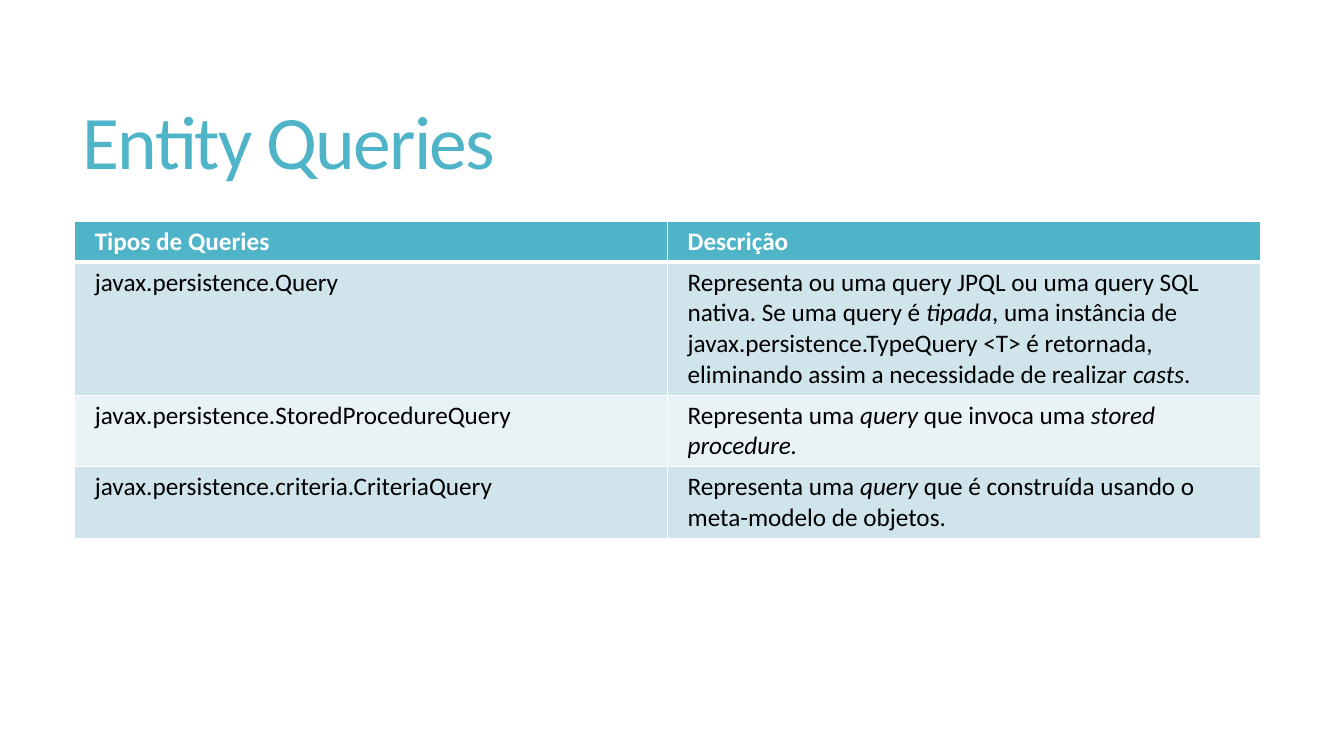
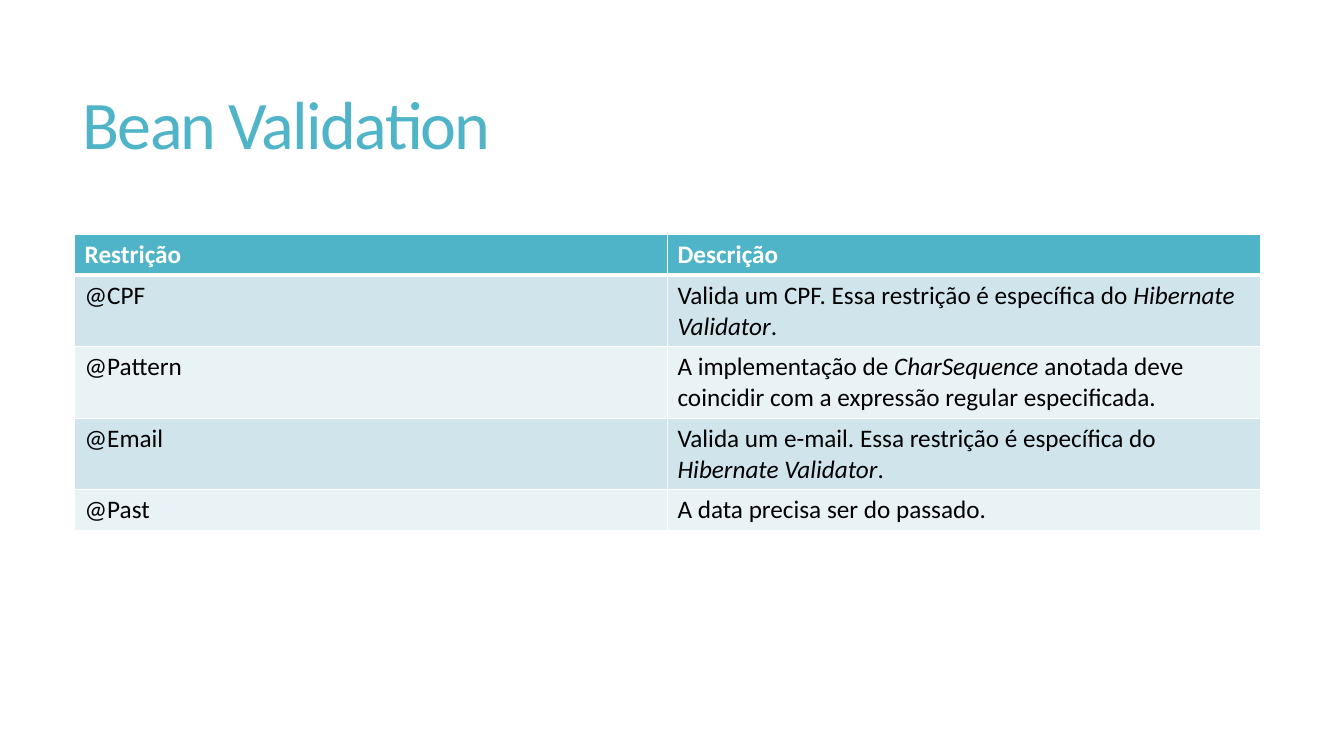
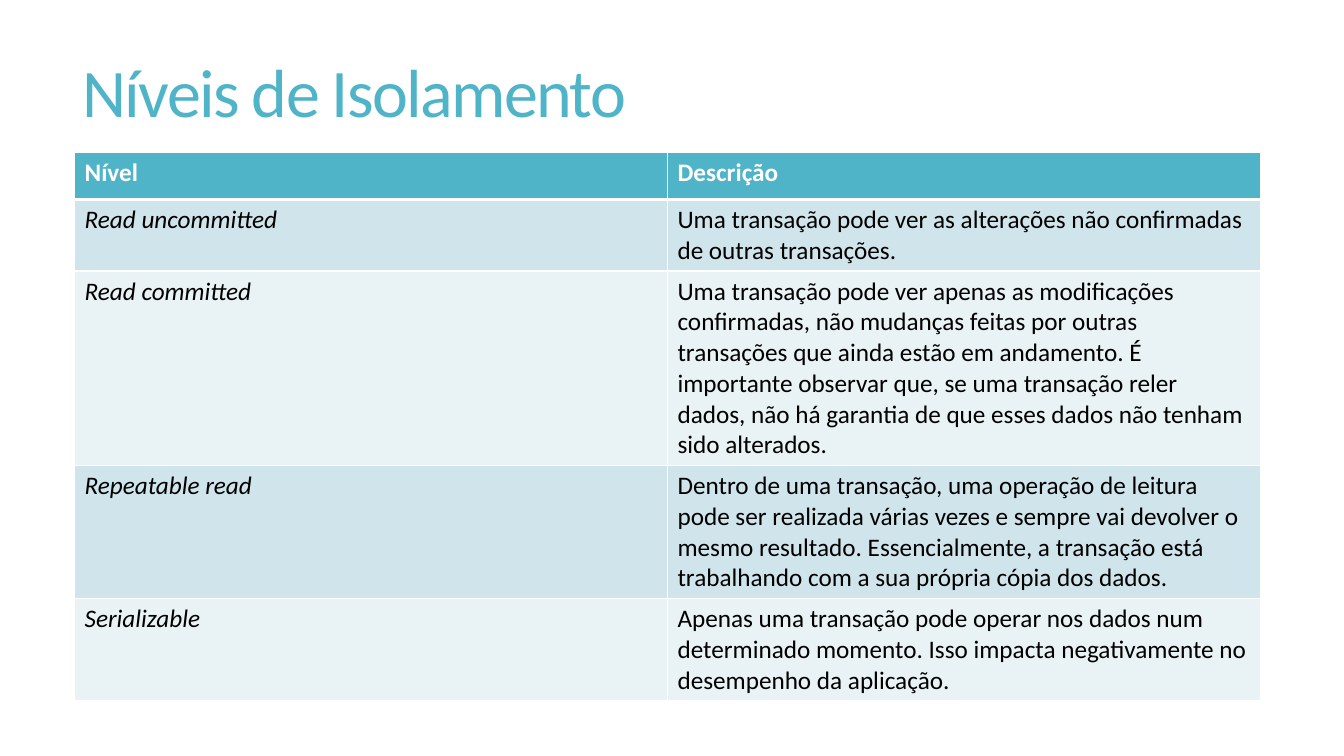
from dataclasses import dataclass

from lxml import etree
from pptx import Presentation
from pptx.dml.color import RGBColor
from pptx.enum import text
from pptx.oxml import ns
from pptx.util import Inches, Pt


@dataclass(frozen=True)
class Theme:
    font: str = "Calibri"
    accent: RGBColor = RGBColor(0x50, 0xB4, 0xC8)
    white: RGBColor = RGBColor(0xFF, 0xFF, 0xFF)
    body: RGBColor = RGBColor(0x00, 0x00, 0x00)
    bands: tuple = (RGBColor(0xD0, 0xE5, 0xEB), RGBColor(0xE9, 0xF2, 0xF5))
    title_spacing: float = -1.2
    title_leading: float = 0.85
    table_size: int = 18
    grid_width: int = 1
    header_rule_width: int = 3


THEME = Theme()
TITLE_LEFT, TITLE_WIDTH = 0.72, 11.78
TABLE_LEFT, TABLE_WIDTH = 0.74, 11.76

# Asterisks enclose italic text; heights follow the row order, header first.
SLIDES = [
    {
        "title": "Entity Queries",
        "title_box": (TITLE_LEFT, 0.55, TITLE_WIDTH, 1.81),
        "title_size": 54,
        "table_top": 2.2,
        "side_margin": 0.2,
        "heights": [0.4, 1.32, 0.71, 0.71],
        "rows": [
            ("Tipos de Queries", "Descrição"),
            ("javax.persistence.Query",
             "Representa ou uma query JPQL ou uma query SQL nativa. Se uma query é "
             "*tipada*, uma instância de javax.persistence.TypeQuery <T> é retornada, "
             "eliminando assim a necessidade de realizar *casts*."),
            ("javax.persistence.StoredProcedureQuery",
             "Representa uma *query* que invoca uma *stored procedure.*"),
            ("javax.persistence.criteria.CriteriaQuery",
             "Representa uma *query* que é construída usando o meta-modelo de objetos."),
        ],
    },
    {
        "title": "Bean Validation",
        "title_box": (TITLE_LEFT, 0.86, TITLE_WIDTH, 0.83),
        "title_size": 48.6,
        "table_top": 2.33,
        "side_margin": 0.1,
        "heights": [0.4, 0.71, 0.71, 0.71, 0.4],
        "rows": [
            ("Restrição", "Descrição"),
            ("@CPF",
             "Valida um CPF. Essa restrição é específica do *Hibernate Validator*."),
            ("@Pattern",
             "A implementação de *CharSequence* anotada deve coincidir com a "
             "expressão regular especificada."),
            ("@Email",
             "Valida um e-mail. Essa restrição é específica do *Hibernate Validator*."),
            ("@Past", "A data precisa ser do passado."),
        ],
    },
    {
        "title": "Níveis de Isolamento",
        "title_box": (TITLE_LEFT, 0.55, TITLE_WIDTH, 0.81),
        "title_size": 48.6,
        "table_top": 1.51,
        "side_margin": 0.1,
        "heights": [0.47, 0.71, 1.93, 1.32, 1.01],
        "rows": [
            ("Nível", "Descrição"),
            ("*Read uncommitted*",
             "Uma transação pode ver as alterações não confirmadas de outras transações."),
            ("*Read committed*",
             "Uma transação pode ver apenas as modificações confirmadas, não mudanças "
             "feitas por outras transações que ainda estão em andamento. É importante "
             "observar que, se uma transação reler dados, não há garantia de que esses "
             "dados não tenham sido alterados."),
            ("*Repeatable read*",
             "Dentro de uma transação, uma operação de leitura pode ser realizada várias "
             "vezes e sempre vai devolver o mesmo resultado. Essencialmente, a transação "
             "está trabalhando com a sua própria cópia dos dados."),
            ("*Serializable*",
             "Apenas uma transação pode operar nos dados num determinado momento. Isso "
             "impacta negativamente no desempenho da aplicação."),
        ],
    },
]


def add_title(slide, title, box, size):
    text_frame = slide.shapes.add_textbox(*map(Inches, box)).text_frame
    text_frame.word_wrap = True
    text_frame.vertical_anchor = text.MSO_ANCHOR.MIDDLE
    text_frame.text = title
    paragraph = text_frame.paragraphs[0]
    paragraph.line_spacing = THEME.title_leading
    run = paragraph.runs[0]
    run.font.name = THEME.font
    run.font.size = Pt(size)
    run.font.color.rgb = THEME.accent
    run.font._element.set("spc", str(round(THEME.title_spacing * 100)))


def set_border(cell, side, width):
    properties = cell._tc.get_or_add_tcPr()
    line = etree.SubElement(properties, ns.qn(f"a:ln{side}"), w=str(Pt(width)))
    fill = etree.SubElement(line, ns.qn("a:solidFill"))
    etree.SubElement(fill, ns.qn("a:srgbClr"), val=str(THEME.white))


def write_cell(cell, marked_text, is_header):
    """Write text whose asterisks enclose italic parts."""
    paragraph = cell.text_frame.paragraphs[0]
    for index, part in enumerate(marked_text.split("*")):
        if not part:
            continue
        run = paragraph.add_run()
        run.text = part
        run.font.name = THEME.font
        run.font.size = Pt(THEME.table_size)
        run.font.bold = is_header
        run.font.italic = index % 2 == 1
        run.font.color.rgb = THEME.white if is_header else THEME.body


def style_cell(cell, row_index, side_margin):
    cell.margin_left = cell.margin_right = Inches(side_margin)
    cell.margin_top = cell.margin_bottom = Inches(0.05)
    for side in "LRTB":
        under_header = (row_index, side) in ((0, "B"), (1, "T"))
        set_border(cell, side, THEME.header_rule_width if under_header else THEME.grid_width)
    cell.fill.solid()
    cell.fill.fore_color.rgb = THEME.bands[(row_index - 1) % 2] if row_index else THEME.accent


def add_banded_table(slide, box, rows, heights, side_margin):
    table = slide.shapes.add_table(len(rows), len(rows[0]), *map(Inches, box)).table
    table.horz_banding = False
    for row_index, (values, height) in enumerate(zip(rows, heights)):
        table.rows[row_index].height = Inches(height)
        for column_index, value in enumerate(values):
            cell = table.cell(row_index, column_index)
            style_cell(cell, row_index, side_margin)
            write_cell(cell, value, is_header=row_index == 0)


def add_table_slide(presentation, content):
    slide = presentation.slides.add_slide(presentation.slide_layouts[6])
    add_title(slide, content["title"], content["title_box"], content["title_size"])
    heights = content["heights"]
    table_box = (TABLE_LEFT, content["table_top"], TABLE_WIDTH, sum(heights))
    add_banded_table(slide, table_box, content["rows"], heights, content["side_margin"])


def main():
    presentation = Presentation()
    presentation.slide_width = Inches(13.33)
    presentation.slide_height = Inches(7.5)
    for content in SLIDES:
        add_table_slide(presentation, content)
    presentation.save("out.pptx")


if __name__ == "__main__":
    main()
